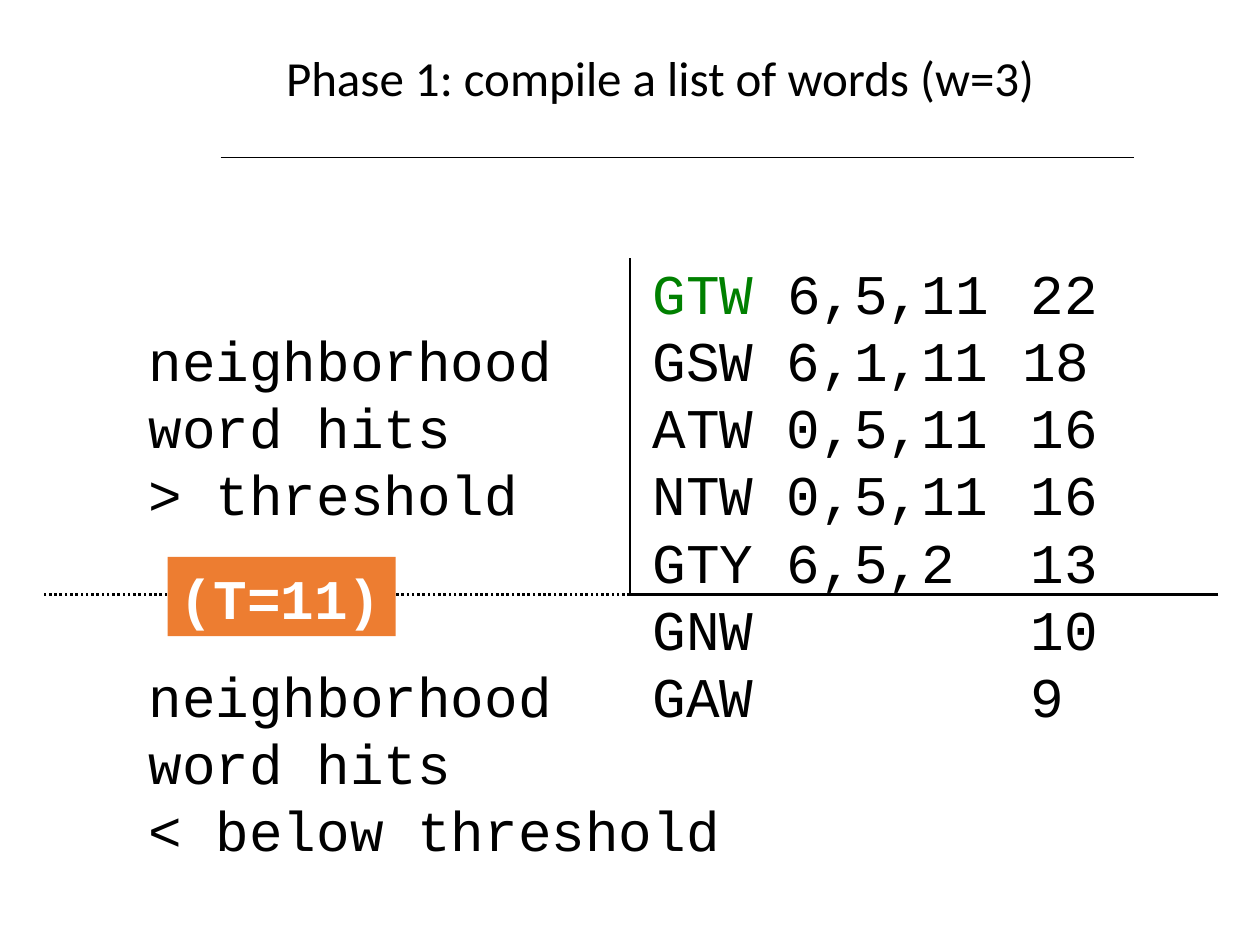
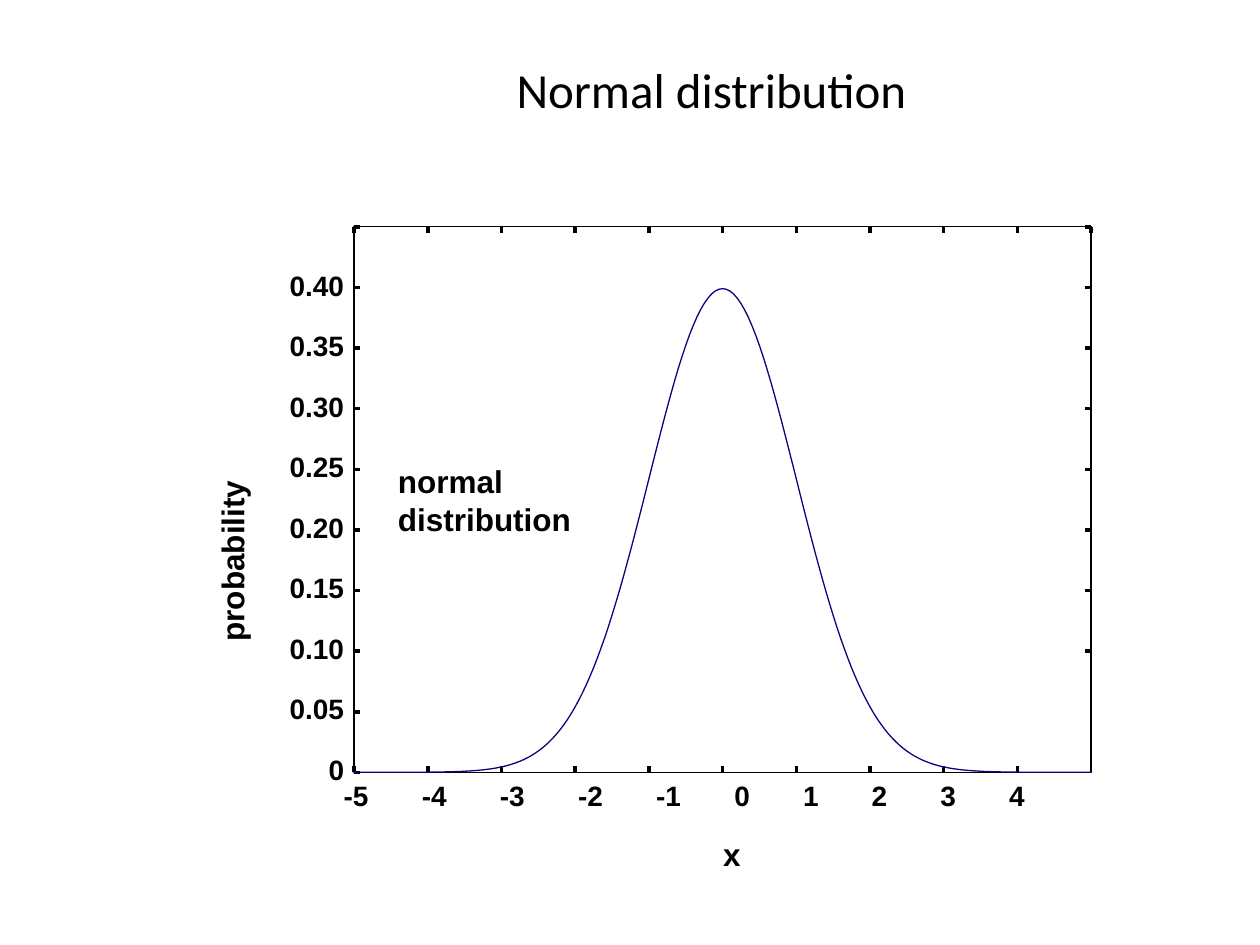
import math
from pptx import Presentation
from pptx.dml.color import RGBColor
from pptx.enum import dml, shapes, text
from pptx.oxml import ns
from pptx.util import Inches, Pt
from lxml import etree

BLACK = RGBColor(0, 0, 0)
WHITE = RGBColor(255, 255, 255)
GREEN = RGBColor(0, 128, 0)
ORANGE = RGBColor(0xED, 0x7D, 0x31)
NAVY = RGBColor(0x13, 0, 0x7C)
SANS, MONO, HEAD = "Arial", "Courier New", "Calibri"
TITLE_SIZE, CODE_SIZE = 28, 32
HAIR = 0


# Shared parts
def fit(frame):
    frame.word_wrap = False
    frame.auto_size = text.MSO_AUTO_SIZE.SHAPE_TO_FIT_TEXT
    frame.vertical_anchor = text.MSO_ANCHOR.TOP


def add_run(para, words, size, face, color=BLACK, bold=False):
    run = para.add_run()
    run.text = words
    font = run.font
    font.size, font.name, font.bold = Pt(size), face, bold
    font.color.rgb = color


def place(shape, box):
    shape.left, shape.top, shape.width, shape.height = map(Inches, box)


def add_slide(deck, title, box):
    slide = deck.slides.add_slide(deck.slide_layouts.get_by_name("Title Only"))
    head = slide.shapes.title
    place(head, box)
    fit(head.text_frame)
    para = head.text_frame.paragraphs[0]
    para.alignment = text.PP_ALIGN.LEFT
    add_run(para, title, TITLE_SIZE, HEAD)
    return slide


def add_line(slide, start, end, width, dash=None):
    line = slide.shapes.add_connector(
        shapes.MSO_CONNECTOR.STRAIGHT, *map(Inches, (*start, *end)))
    line.line.color.rgb = BLACK
    line.line.width = Pt(width)
    if dash:
        line.line.dash_style = dash
    props = line._element.spPr
    etree.SubElement(props, ns.qn("a:effectLst"))
    return line


def add_label(slide, lines, box, size, turn=0):
    label = slide.shapes.add_textbox(*map(Inches, box))
    label.rotation = turn
    frame = label.text_frame
    fit(frame)
    for i, words in enumerate(lines):
        para = frame.add_paragraph() if i else frame.paragraphs[0]
        add_run(para, words, size, SANS, bold=True)


# Word list slide
def add_words(slide, box):
    rows = [
        ("\t", "GTW", " 6,5,11\t22"),
        ("neighborhood\tGSW 6,1,11 18",),
        ("word hits\tATW 0,5,11\t16",),
        ("> threshold\tNTW 0,5,11\t16",),
        ("\tGTY 6,5,2\t13",),
        ("\tGNW\t10",),
        ("neighborhood\tGAW\t9",),
        ("word hits",),
        ("< below threshold",),
    ]
    stops = (4, 7)
    frame = slide.shapes.add_textbox(*map(Inches, box)).text_frame
    fit(frame)
    for i, row in enumerate(rows):
        para = frame.add_paragraph() if i else frame.paragraphs[0]
        tabs = etree.SubElement(para._p.get_or_add_pPr(), ns.qn("a:tabLst"))
        for stop in stops:
            etree.SubElement(tabs, ns.qn("a:tab"),
                             pos=str(Inches(stop)), algn="l")
        for words in row:
            color = GREEN if words == "GTW" else BLACK
            add_run(para, words, CODE_SIZE, MONO, color)


def add_cutoff(slide, box):
    left, top, width, height = box
    mid, low = left + width / 2, top + height
    cross = (mid, low)
    add_line(slide, (left + width, low), cross, 1.5)
    add_line(slide, (mid, top), cross, 1.5)
    add_line(slide, cross, (left, low), 1.5, dml.MSO_LINE.ROUND_DOT)
    # Threshold tag on the dotted line
    tag = slide.shapes.add_shape(
        shapes.MSO_SHAPE.RECTANGLE,
        *map(Inches, (left + 1, low - 0.3, 1.81, 0.63)))
    tag.shadow.inherit = False
    tag.fill.solid()
    tag.fill.fore_color.rgb = ORANGE
    tag.line.fill.background()
    fit(tag.text_frame)
    para = tag.text_frame.paragraphs[0]
    para.alignment = text.PP_ALIGN.LEFT
    add_run(para, "(T=11)", CODE_SIZE, MONO, WHITE, True)


def word_slide(deck):
    slide = add_slide(deck, "Phase 1: compile a list of words (w=3)",
                      (2.17, 0.33, 6.25, 0.57))
    add_words(slide, (1.08, 2, 8.28, 4.95))
    add_cutoff(slide, (0.33, 2.05, 9.34, 2.67))
    add_line(slide, (1.75, 1.25), (9, 1.25), 1)


# Normal curve slide
def add_frame(slide, box):
    left, top, width, height = box
    right, low = left + width, top + height
    frame = slide.shapes.add_shape(
        shapes.MSO_SHAPE.RECTANGLE, *map(Inches, box))
    frame.shadow.inherit = False
    frame.fill.background()
    frame.line.color.rgb = BLACK
    frame.line.width = Pt(HAIR)
    tick = 0.05
    for i in range(11):
        x = left + i * width / 10
        add_line(slide, (x, top), (x, top + tick), HAIR)
        if i < 10:
            add_line(slide, (x, low), (x, low - tick), HAIR)
    for i in range(10):
        y = low - i * height / 9
        add_line(slide, (left, y), (left + tick, y), HAIR)
        if i > 1:
            add_line(slide, (right, y), (right - tick, y), HAIR)


def add_curve(slide, box):
    left, top, width, height = box
    steps, peak = 200, 0.45
    points = []
    for i in range(steps + 1):
        x = -5 + 10 * i / steps
        dens = math.exp(-x * x / 2) / math.sqrt(2 * math.pi)
        points.append((Inches(left + width * i / steps),
                       Inches(top + height * (1 - dens / peak))))
    path = slide.shapes.build_freeform(*points[0])
    path.add_line_segments(points[1:], close=False)
    curve = path.convert_to_shape()
    curve.shadow.inherit = False
    curve.fill.background()
    curve.line.color.rgb = NAVY
    curve.line.width = Pt(HAIR)


def add_scales(slide, box):
    left, top, width, height = box
    low = top + height
    # Numbers below, set wider apart on the negative side
    zero = left + 2.92
    for n in range(-5, 5):
        gap, wide = (0.62, 0.4) if n < 0 else (0.545, 0.32)
        add_label(slide, [str(n)], (zero + gap * n, low, wide, 0.37), 16)
    # Numbers at the left, ending at the frame
    for i in range(9):
        words, wide = (f"{i * 0.05:.2f}", 0.63) if i else ("0", 0.32)
        add_label(slide, [words],
                  (left + 0.02 - wide, low - 0.21 - 0.48 * i, wide, 0.37), 16)
    # Names of the axes and the curve
    add_label(slide, ["x"], (left + 2.83, low + 0.45, 0.39, 0.5), 18)
    add_label(slide, ["probability"],
              (left - 1.87, top + 2.19, 1.9, 0.5), 18, 270)
    add_label(slide, ["normal", "distribution"],
              (left + 0.25, top + 1.82, 2.03, 0.9), 18)


def curve_slide(deck):
    slide = add_slide(deck, "Normal distribution", (4, 0.42, 3.38, 0.57))
    plot = (2.81, 1.8, 5.85, 4.33)
    for part in (add_frame, add_curve, add_scales):
        part(slide, plot)


def main():
    deck = Presentation()
    deck.slide_width, deck.slide_height = Inches(10), Inches(7.5)
    word_slide(deck)
    curve_slide(deck)
    deck.save("out.pptx")


if __name__ == "__main__":
    main()
